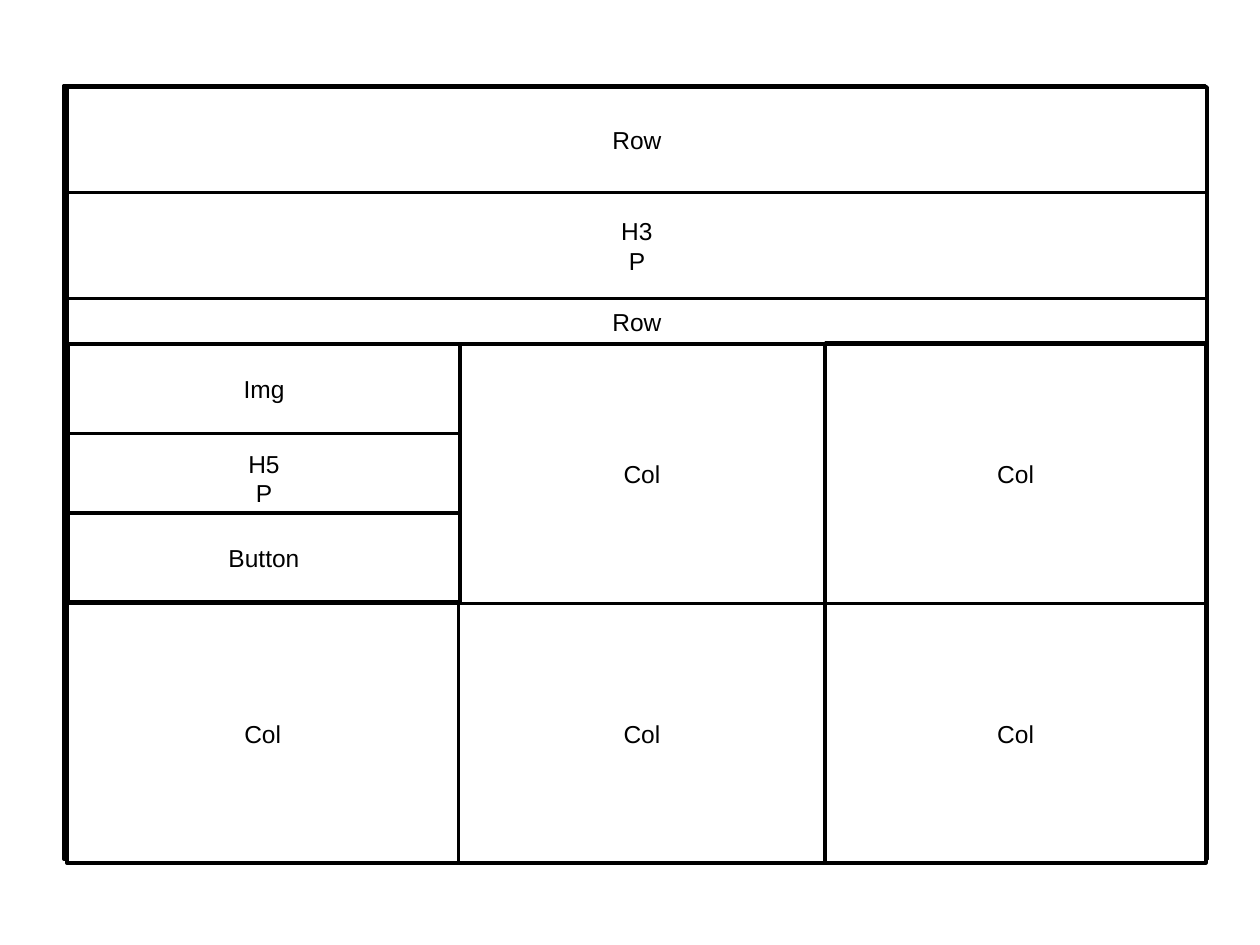
from pptx import Presentation
from pptx.dml.color import RGBColor
from pptx.enum.shapes import MSO_SHAPE
from pptx.enum.text import MSO_ANCHOR, PP_ALIGN
from pptx.util import Inches, Pt

COLORS = {"paper": "FFFFFF", "ink": "000000"}
FONT, SIZE = "Arial", 14

LEFT, TOP, WIDTH = 0.53, 0.69, 9.05
BANDS = [(["Row"], 0.84), (["H3", "P"], 0.84), (["Row"], 0.36)]
GRID_TOP, CELL_H = 2.73, 2.06
COLUMNS = [
    (3.11, [[], ["Col"]]),
    (2.91, [["Col"], ["Col"]]),
    (3.02, [["Col"], ["Col"]]),
]
CARD_LEFT, CARD_H = 0.54, 0.71
CARD = [(["Img"], 2.73), (["H5", "P"], 3.44), (["Button"], 4.07)]


def add_box(s, x, y, w, h, lines=()):
    sp = s.shapes.add_shape(MSO_SHAPE.RECTANGLE, Inches(x), Inches(y), Inches(w), Inches(h))
    sp.shadow.inherit = False
    sp.fill.solid()
    sp.fill.fore_color.rgb = RGBColor.from_string(COLORS["paper"])
    sp.line.color.rgb = RGBColor.from_string(COLORS["ink"])
    sp.line.width = Pt(2)
    tf = sp.text_frame
    tf.word_wrap = True
    tf.vertical_anchor = MSO_ANCHOR.MIDDLE
    tf.margin_left = tf.margin_right = tf.margin_top = tf.margin_bottom = Inches(0.1)
    for i, line in enumerate(lines):
        p = tf.add_paragraph() if i else tf.paragraphs[0]
        p.alignment = PP_ALIGN.CENTER
        r = p.add_run()
        r.text = line
        r.font.name = FONT
        r.font.size = Pt(SIZE)
        r.font.color.rgb = RGBColor.from_string(COLORS["ink"])


def main():
    prs = Presentation()
    prs.slide_width, prs.slide_height = Inches(10), Inches(7.5)
    s = prs.slides.add_slide(prs.slide_layouts[6])

    add_box(s, 0.51, 0.68, 9.06, 6.14)
    add_box(s, LEFT, GRID_TOP, WIDTH, 4.09)

    y = TOP
    for lines, h in BANDS:
        add_box(s, LEFT, y, WIDTH, h, lines)
        y += h

    last_w = COLUMNS[-1][0]
    last_x = LEFT + sum(w for w, _ in COLUMNS[:-1])
    for row in range(2):
        add_box(s, last_x, GRID_TOP - 0.01 + row * CELL_H, last_w, CELL_H)

    x = LEFT
    for w, cells in COLUMNS:
        for row, lines in enumerate(cells):
            add_box(s, x, GRID_TOP + row * CELL_H, w, CELL_H, lines)
        x += w

    for lines, y in CARD:
        add_box(s, CARD_LEFT, y, COLUMNS[0][0], CARD_H, lines)

    prs.save("out.pptx")


if __name__ == "__main__":
    main()
